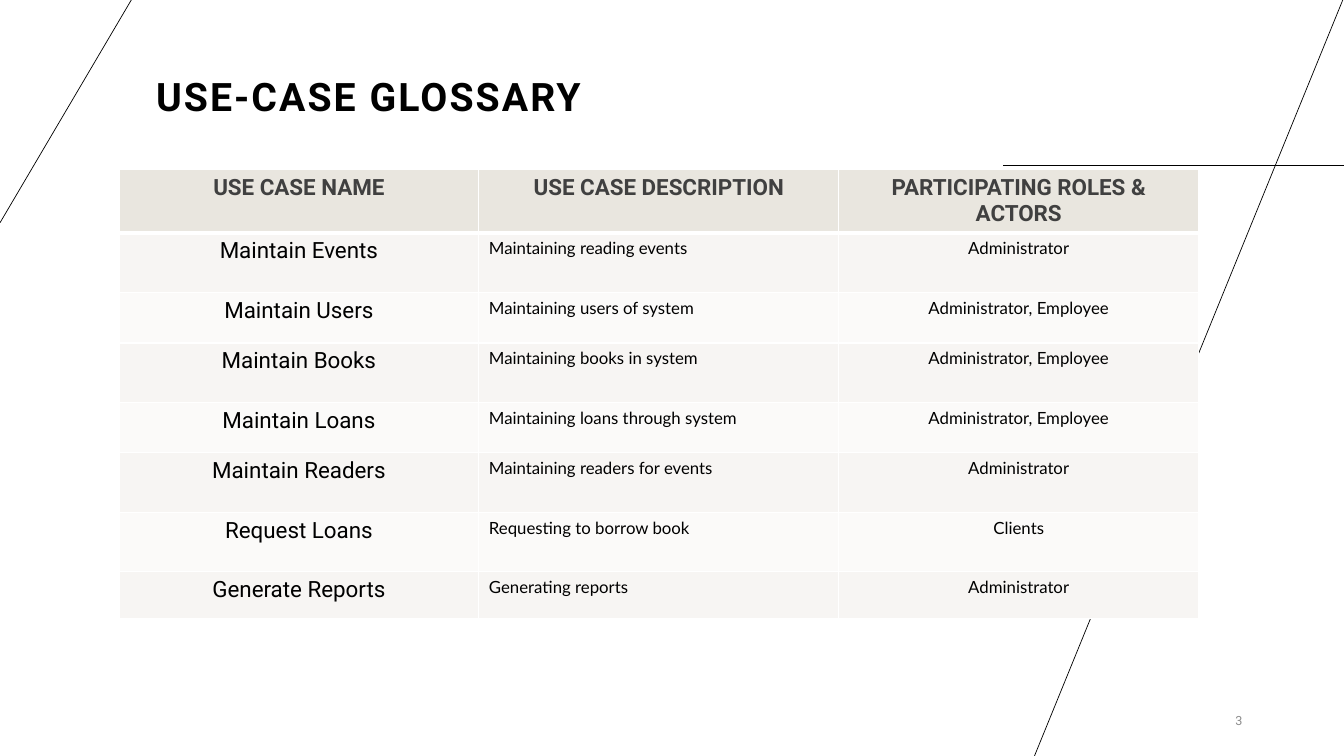
from lxml.etree import SubElement
from pptx import Presentation
from pptx.dml.color import RGBColor
from pptx.enum.shapes import MSO_CONNECTOR
from pptx.enum.text import MSO_ANCHOR as Anchor, PP_ALIGN as Align
from pptx.oxml.ns import qn
from pptx.util import Inches, Pt

TABLE_HEADINGS = ["USE CASE NAME", "USE CASE DESCRIPTION", "PARTICIPATING ROLES & ACTORS"]
USE_CASES = [
    ("Maintain Events", "Maintaining reading events", "Administrator"),
    ("Maintain Users", "Maintaining users of system", "Administrator, Employee"),
    ("Maintain Books", "Maintaining books in system", "Administrator, Employee"),
    ("Maintain Loans", "Maintaining loans through system", "Administrator, Employee"),
    ("Maintain Readers", "Maintaining readers for events", "Administrator"),
    ("Request Loans", "Requesting to borrow book", "Clients"),
    ("Generate Reports", "Generating reports", "Administrator"),
]
ROW_HEIGHTS = [0.6, 0.59, 0.5, 0.59, 0.5, 0.59, 0.59, 0.46]
COLUMN_WIDTH = 3.57


def color(hex_text):
    return RGBColor.from_string(hex_text)


class GlossarySlide:
    INK, WHITE = "000000", "FFFFFF"
    HEADER_FILL, BAND_FILLS = "E9E6DF", ("F7F5F3", "FBFAF9")
    HEADING = {"name": "Roboto", "size": Pt(16), "bold": True}
    NAME = {"name": "Roboto", "size": Pt(16), "bold": False}
    DETAIL = {"name": "Lato", "size": Pt(12), "bold": False}

    def __init__(self, presentation):
        self.slide = presentation.slides.add_slide(presentation.slide_layouts[6])
        self.slide.background.fill.solid()
        self.slide.background.fill.fore_color.rgb = color(self.WHITE)

    def line(self, start, end):
        points = [Inches(value) for value in (*start, *end)]
        connector = self.slide.shapes.add_connector(MSO_CONNECTOR.STRAIGHT, *points)
        connector.line.color.rgb = color(self.INK)
        connector.line.width = Pt(0.5)
        SubElement(connector._element.spPr, qn("a:effectLst"))

    def fill_text(self, text_frame, text, style, ink, align=Align.LEFT):
        paragraph = text_frame.paragraphs[0]
        paragraph.alignment = align
        run = paragraph.add_run()
        run.text = text
        for attribute, value in style.items():
            setattr(run.font, attribute, value)
        run.font.color.rgb = color(ink)
        return paragraph, run

    def text(self, box, text, style, ink, anchor, align=Align.LEFT):
        shape = self.slide.shapes.add_textbox(*[Inches(value) for value in box])
        shape.text_frame.word_wrap = True
        shape.text_frame.vertical_anchor = anchor
        return self.fill_text(shape.text_frame, text, style, ink, align)

    def borders(self, cell, bottom_width):
        properties = cell._tc.get_or_add_tcPr()
        widths = {"a:lnL": 1, "a:lnR": 1, "a:lnT": 1, "a:lnB": bottom_width}
        for position, (tag, width) in enumerate(widths.items()):
            border = SubElement(properties, qn(tag), w=str(Pt(width)))
            fill = SubElement(border, qn("a:solidFill"))
            SubElement(fill, qn("a:srgbClr"), val=self.WHITE)
            properties.insert(position, border)  # borders precede the fill

    def cell(self, cell, text, style, ink, fill, align, bottom_width=1):
        cell.fill.solid()
        cell.fill.fore_color.rgb = color(fill)
        self.borders(cell, bottom_width)
        self.fill_text(cell.text_frame, text, style, ink, align)

    def table(self, left, top, headings, rows):
        count = len(headings)
        frame = self.slide.shapes.add_table(
            len(rows) + 1, count, Inches(left), Inches(top),
            Inches(COLUMN_WIDTH * count), Inches(sum(ROW_HEIGHTS)))
        table = frame.table
        for column in table.columns:
            column.width = Inches(COLUMN_WIDTH)
        for row, height in zip(table.rows, ROW_HEIGHTS):
            row.height = Inches(height)
        for index, heading in enumerate(headings):
            self.cell(table.cell(0, index), heading, self.HEADING, "404040",
                      self.HEADER_FILL, Align.CENTER, bottom_width=3)
        column_formats = [(self.NAME, Align.CENTER), (self.DETAIL, Align.LEFT),
                          (self.DETAIL, Align.CENTER)]
        for row_index, values in enumerate(rows):
            fill = self.BAND_FILLS[row_index % 2]
            for index, (value, (style, align)) in enumerate(zip(values, column_formats)):
                self.cell(table.cell(row_index + 1, index), value, style, self.INK, fill, align)


def main():
    presentation = Presentation()
    presentation.slide_width, presentation.slide_height = Inches(13.33), Inches(7.5)
    glossary = GlossarySlide(presentation)

    # Decorative lines
    glossary.line((9.95, 1.64), (13.33, 1.64))
    glossary.line((13.33, -0.03), (10.26, 7.5))
    glossary.line((0, 2.21), (1.32, -0.03))

    # Title
    title_style = {"name": "Roboto", "size": Pt(28), "bold": True}
    paragraph, run = glossary.text((1.45, 0.15, 10.7, 1.09), "USE-CASE GLOSSARY",
                                   title_style, glossary.INK, Anchor.BOTTOM)
    paragraph.line_spacing = 0.9
    run.font._element.set("spc", "150")

    # Slide number
    glossary.text((11.34, 6.95, 1.08, 0.4), "3", {"name": "Roboto", "size": Pt(9)},
                  "8C8C8C", Anchor.MIDDLE, Align.RIGHT)

    # Use-case table
    glossary.table(1.18, 1.68, TABLE_HEADINGS, USE_CASES)

    presentation.save("out.pptx")


if __name__ == "__main__":
    main()
